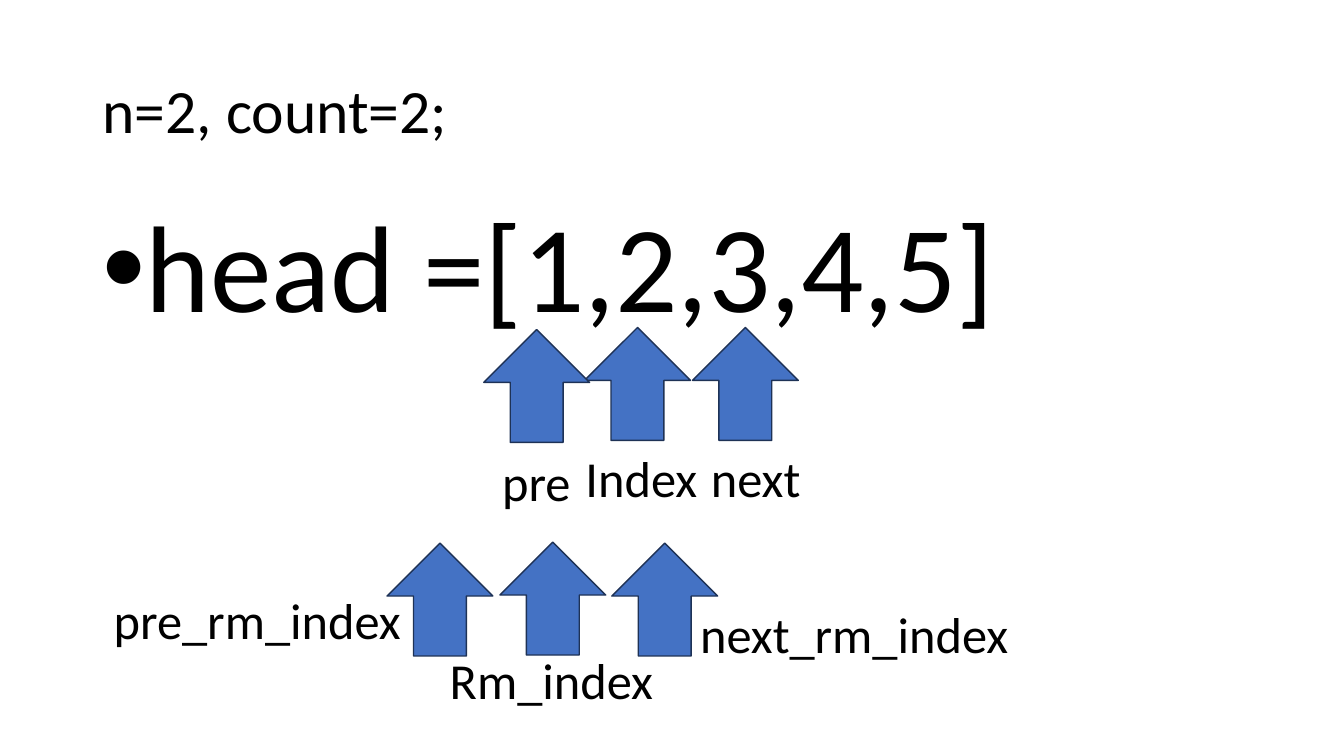
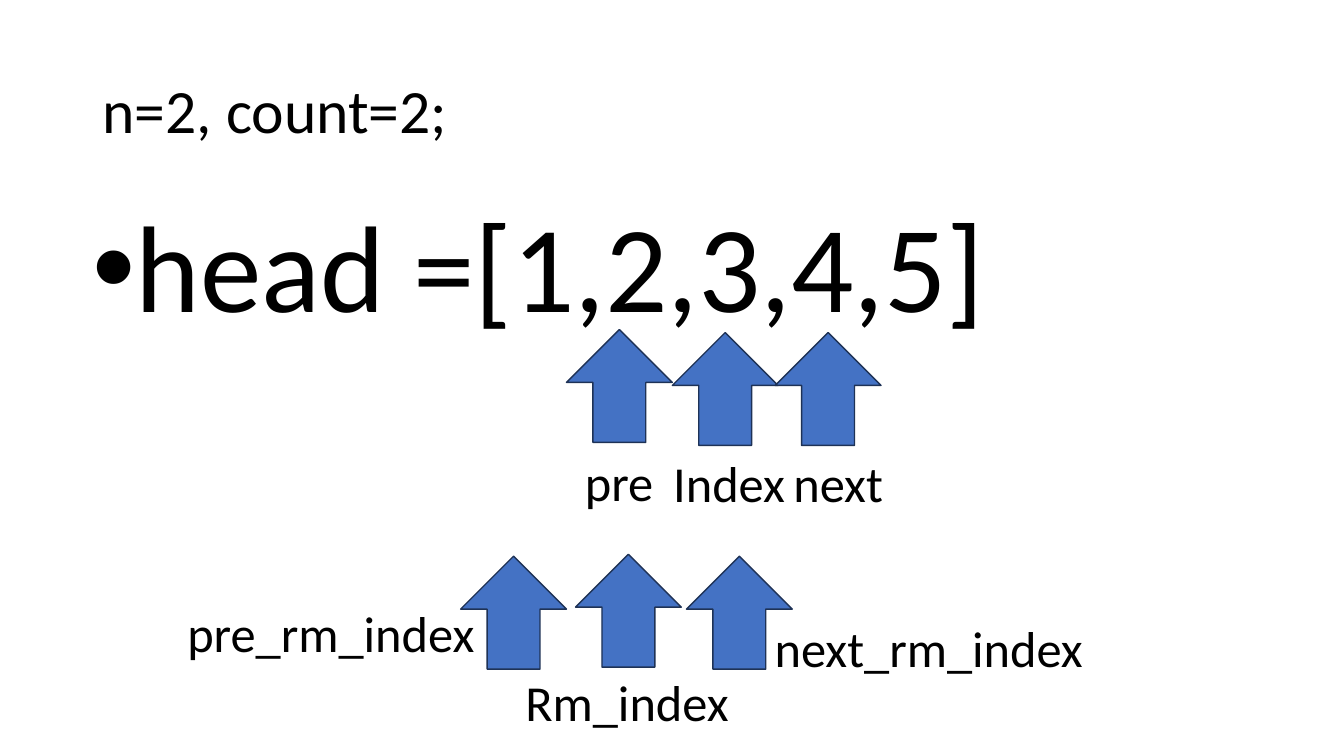
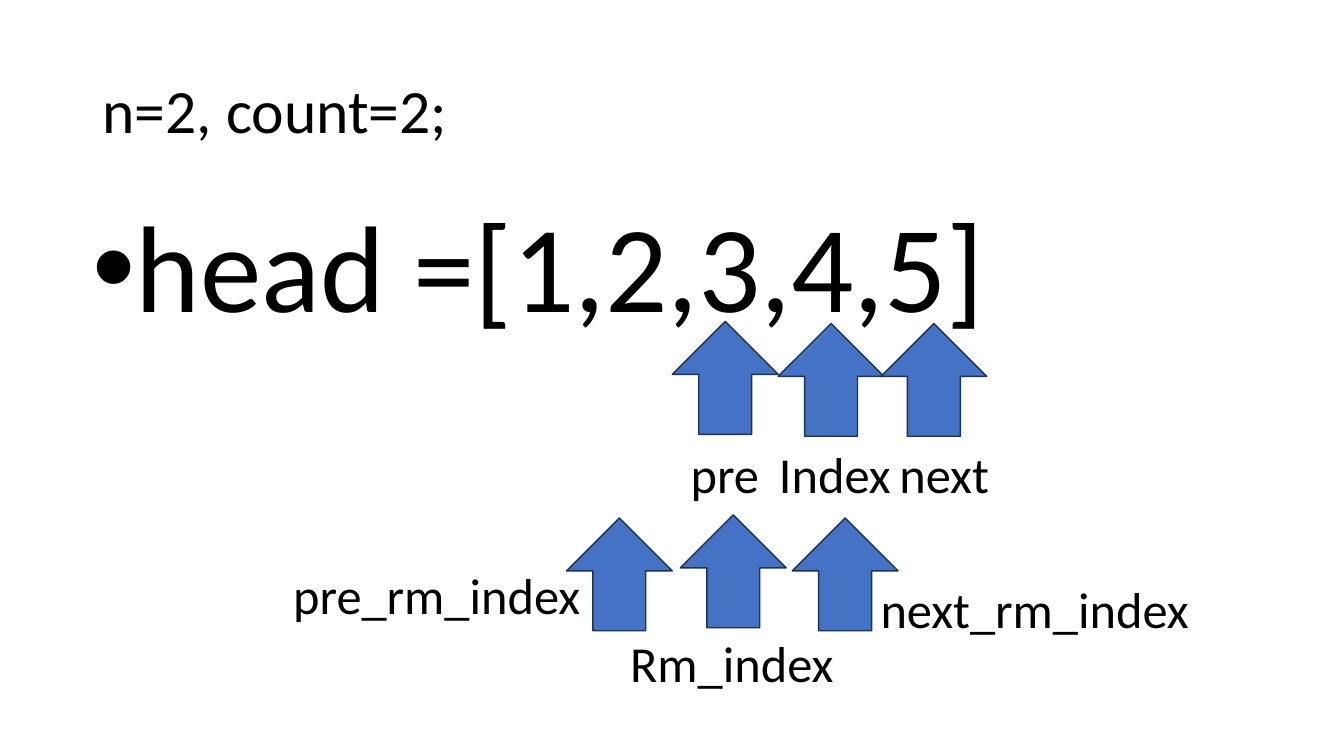
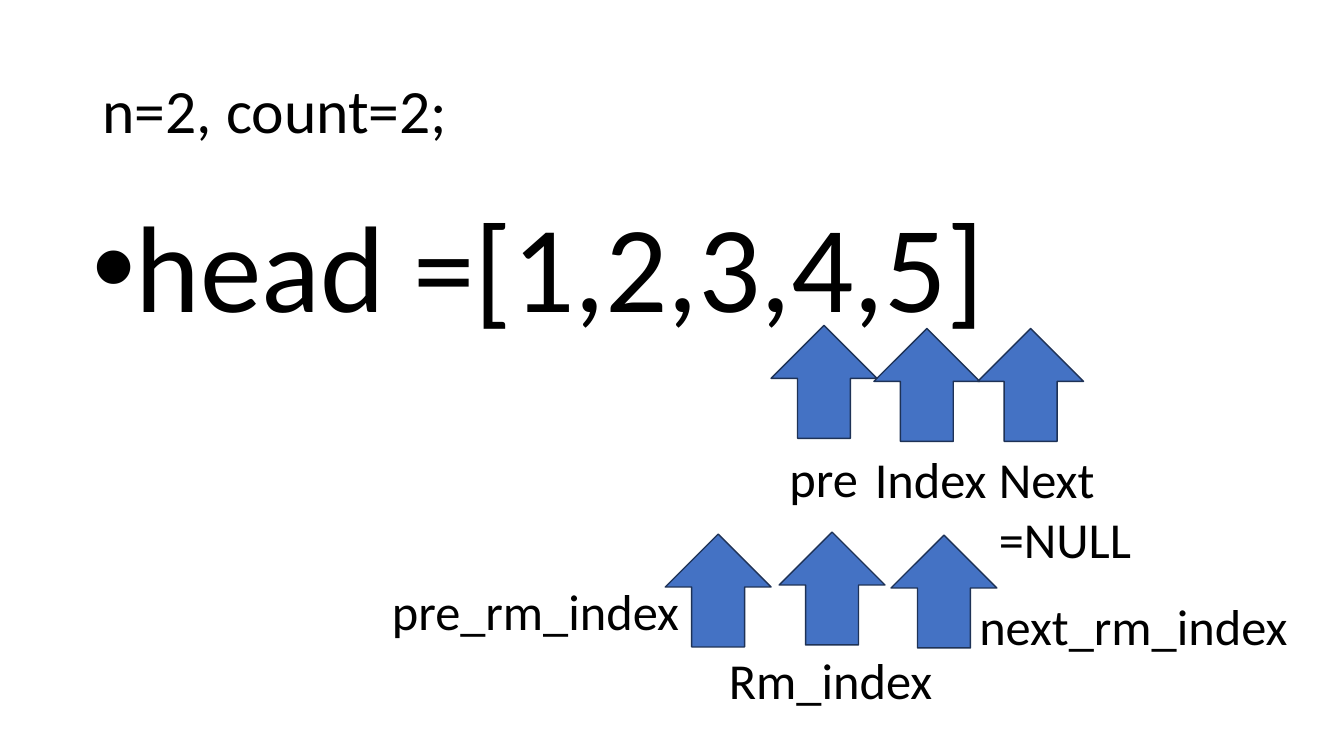
from lxml.etree import SubElement
from pptx import Presentation
from pptx.dml.color import RGBColor
from pptx.enum.shapes import MSO_SHAPE
from pptx.enum.text import MSO_ANCHOR, MSO_AUTO_SIZE
from pptx.oxml.ns import qn
from pptx.util import Inches, Pt

COLORS = {"text": "000000", "arrow": "4472C4", "outline": "1E3256"}
FONT = "Calibri"

presentation = Presentation()
presentation.slide_width = Inches(13.33)
presentation.slide_height = Inches(7.5)

# The grid has 40 columns and 22.5 rows of square cells.
CELL = presentation.slide_width / 40

ARROW_WIDTH, ARROW_HEIGHT = 3.15, 3.36
LINE_HEIGHT = 1.8
LABEL_PADDING = 0.33

# Each pointer: label text, label offset from its arrow (columns, rows), label width.
POINTERS = {
    "rm": ("Rm_index", -1.79, 3.33, 6.72),
    "index": ("Index", -0.27, 3.4, 3.96),
    "pre": ("pre", 0.25, 3.48, 2.67),
    "next": ("next", 0.25, 3.4, 3.3),
    "next_rm": ("next_rm_index", 2.33, 1.65, 10.14),
    "pre_rm": ("pre_rm_index", -8.43, 1.23, 9.21),
}

# Each step: column of the list, arrow positions (column, row), changed labels.
STEPS = [
    (2.76,
     {"rm": (14.88, 16.14), "index": (17.4, 9.75), "pre": (14.4, 9.81),
      "next": (20.61, 9.75), "next_rm": (18.21, 16.17), "pre_rm": (11.52, 16.17)},
     {"rm": ("Rm_index", -1.79, 3.03, 6.72)}),
    (2.46,
     {"rm": (17.13, 16.5), "index": (20.01, 9.9), "pre": (16.86, 9.81),
      "next": (23.07, 9.9), "next_rm": (20.43, 16.56), "pre_rm": (13.71, 16.56)},
     {}),
    (2.46,
     {"rm": (20.25, 15.33), "index": (23.16, 9.63), "pre": (20.01, 9.57),
      "next": (26.22, 9.63), "next_rm": (23.58, 15.42), "pre_rm": (16.86, 15.42)},
     {}),
    (2.46,
     {"rm": (23.19, 15.84), "index": (26.01, 9.78), "pre": (22.95, 9.69),
      "next": (29.1, 9.78), "next_rm": (26.52, 15.93), "pre_rm": (19.8, 15.9)},
     {"next": ("Next\n=NULL", 0.33, 3.4, 4.59)}),
]


def cells(*counts):
    """Turn counts of grid cells into lengths."""
    return [round(count * CELL) for count in counts]


def add_text(slide, text, box, size, wrap=True, bullet=False):
    shape = slide.shapes.add_textbox(*cells(*box))
    text_frame = shape.text_frame
    text_frame.text = text
    text_frame.word_wrap = wrap
    for paragraph in text_frame.paragraphs:
        if bullet:
            properties = paragraph._p.get_or_add_pPr()
            properties.set("marL", str(Inches(0.25)))
            properties.set("indent", str(-Inches(0.25)))
            SubElement(properties, qn("a:buFont"), typeface="Arial")
            SubElement(properties, qn("a:buChar"), char="•")
        for run in paragraph.runs:
            run.font.name = FONT
            run.font.size = Pt(size)
            run.font.color.rgb = RGBColor.from_string(COLORS["text"])
    return text_frame


for list_column, arrows, changed_labels in STEPS:
    slide = presentation.slides.add_slide(presentation.slide_layouts[6])

    title = add_text(slide, "n=2, count=2;", (2.76, 1.2, 34.5, 4.35), 44)
    title.vertical_anchor = MSO_ANCHOR.MIDDLE
    title.paragraphs[0].line_spacing = 0.9

    number_list = add_text(slide, "head =[1,2,3,4,5]", (list_column, 6, 34.5, 6.09), 88, bullet=True)
    number_list.paragraphs[0].line_spacing = 0.9

    labels = POINTERS | changed_labels
    for name, (column, row) in arrows.items():
        text, across, down, width = labels[name]
        height = LINE_HEIGHT * len(text.split("\n")) + LABEL_PADDING
        label = add_text(slide, text, (column + across, row + down, width, height), 36, wrap=False)
        label.auto_size = MSO_AUTO_SIZE.SHAPE_TO_FIT_TEXT

        arrow = slide.shapes.add_shape(
            MSO_SHAPE.UP_ARROW, *cells(column, row, ARROW_WIDTH, ARROW_HEIGHT))
        arrow.shadow.inherit = False
        arrow.fill.solid()
        arrow.fill.fore_color.rgb = RGBColor.from_string(COLORS["arrow"])
        arrow.line.color.rgb = RGBColor.from_string(COLORS["outline"])
        arrow.line.width = Pt(1)

presentation.save("out.pptx")
